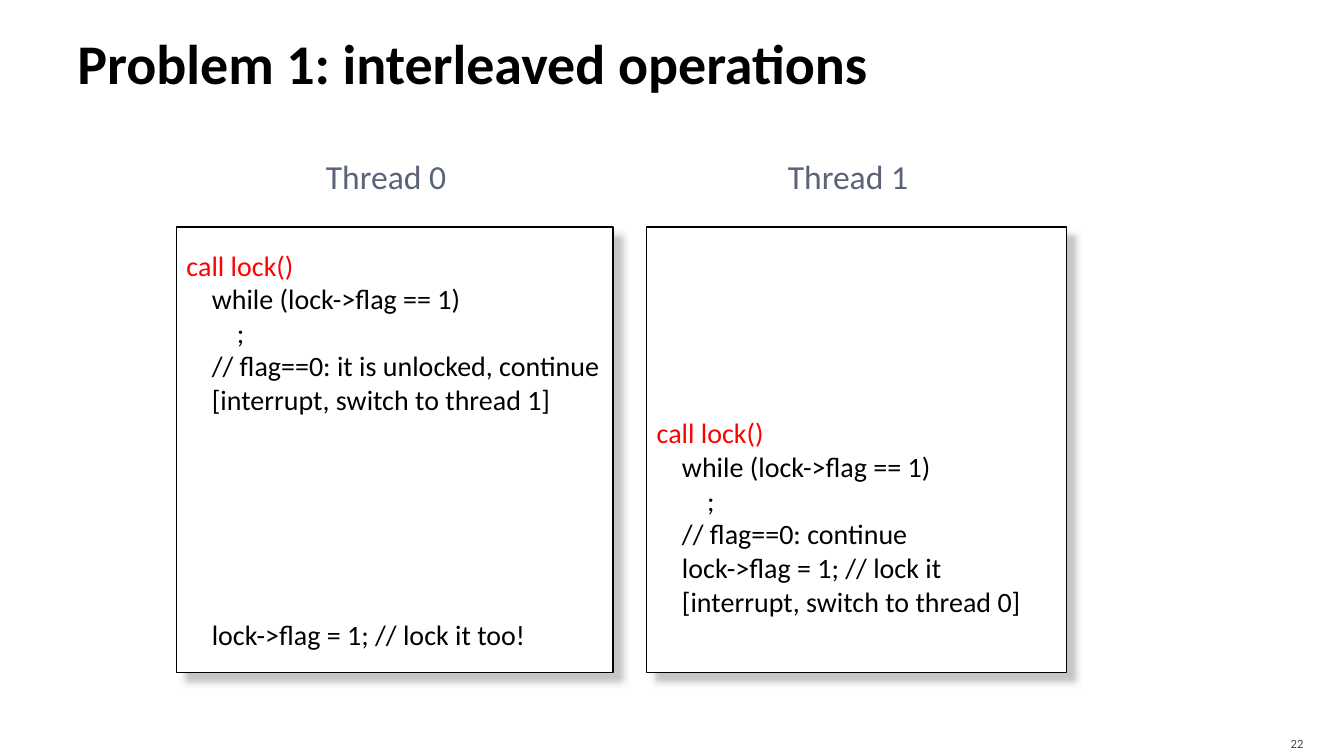
import dataclasses
import typing

import pptx
import pptx.dml.color
import pptx.enum.shapes
import pptx.enum.text
import pptx.oxml
import pptx.oxml.ns
import pptx.util

Cm = pptx.util.Cm
Pt = pptx.util.Pt
Align = pptx.enum.text.PP_ALIGN
Anchor = pptx.enum.text.MSO_ANCHOR


@dataclasses.dataclass(frozen=True)
class Theme:
    font: str = "Calibri"
    black: str = "000000"
    white: str = "FFFFFF"
    call: str = "FF0000"
    label: str = "5A6378"
    number: str = "454545"
    shade: str = "B2B2B2"
    title_size: float = 40
    label_size: float = 24
    code_size: float = 20
    number_size: float = 9
    row: float = 24


@dataclasses.dataclass(frozen=True)
class Line:
    row: int
    text: str
    color: str


@dataclasses.dataclass(frozen=True)
class Thread:
    name: str
    left: float
    width: float
    lines: tuple[Line, ...]


THEME = Theme()
BOX_TOP, BOX_HEIGHT = 5.72, 11.23
LABEL_TOP, LABEL_WIDTH, LABEL_HEIGHT = 3.81, 4.66, 1.3
LABEL_SHIFT = 0.22
INSET, TOP_INSET = 0.25, 0.53

THREADS = (
    Thread("Thread 0", 4.45, 11.0, (
        Line(0, "call lock()", THEME.call),
        Line(1, "    while (lock->flag == 1)", THEME.black),
        Line(2, "\t;", THEME.black),
        Line(3, "    // flag==0: it is unlocked, continue", THEME.black),
        Line(4, "    [interrupt, switch to thread 1]", THEME.black),
        Line(11, "    lock->flag = 1; // lock it too!", THEME.black),
    )),
    Thread("Thread 1", 16.3, 10.58, (
        Line(5, "call lock()", THEME.call),
        Line(6, "    while (lock->flag == 1)", THEME.black),
        Line(7, "\t;", THEME.black),
        Line(8, "    // flag==0: continue", THEME.black),
        Line(9, "    lock->flag = 1; // lock it", THEME.black),
        Line(10, "    [interrupt, switch to thread 0]", THEME.black),
    )),
)


def paint(color: str) -> pptx.dml.color.RGBColor:
    return pptx.dml.color.RGBColor.from_string(color)


def style(para: typing.Any, size: float, color: str, align: Align, bold: bool = False) -> None:
    para.alignment = align
    for run in para.runs:
        run.font.name = THEME.font
        run.font.size = Pt(size)
        run.font.bold = bold
        run.font.color.rgb = paint(color)


def add_text(slide: typing.Any, text: str, place: tuple[float, ...], size: float,
             color: str, align: Align) -> typing.Any:
    frame = slide.shapes.add_textbox(*map(Cm, place)).text_frame
    frame.word_wrap = True
    frame.text = text
    style(frame.paragraphs[0], size, color, align)
    return frame


def add_shade(shape: typing.Any) -> None:
    shape.shadow.inherit = False
    effects = shape._element.spPr.find(pptx.oxml.ns.qn("a:effectLst"))
    effects.append(pptx.oxml.parse_xml(
        f'<a:outerShdw {pptx.oxml.ns.nsdecls("a")} blurRad="{Pt(5)}" dist="{Pt(8.5)}" '
        f'dir="2700000" algn="tl" rotWithShape="0"><a:srgbClr val="{THEME.shade}">'
        '<a:alpha val="75000"/></a:srgbClr></a:outerShdw>'))


def add_thread(slide: typing.Any, thread: Thread) -> None:
    box = slide.shapes.add_shape(
        pptx.enum.shapes.MSO_SHAPE.RECTANGLE,
        Cm(thread.left), Cm(BOX_TOP), Cm(thread.width), Cm(BOX_HEIGHT))
    box.fill.solid()
    box.fill.fore_color.rgb = paint(THEME.white)
    box.line.color.rgb = paint(THEME.black)
    box.line.width = Pt(1)
    add_shade(box)

    frame = box.text_frame
    frame.word_wrap = False
    frame.vertical_anchor = Anchor.TOP
    frame.margin_left = frame.margin_right = frame.margin_bottom = Cm(INSET)
    frame.margin_top = Cm(TOP_INSET) + Pt(THEME.row * thread.lines[0].row)
    frame.text = "\n".join(line.text for line in thread.lines)
    last = thread.lines[0].row - 1
    for para, line in zip(frame.paragraphs, thread.lines):
        style(para, THEME.code_size, line.color, Align.LEFT)
        para.line_spacing = Pt(THEME.row)
        para.space_before = Pt(THEME.row * (line.row - last - 1))
        last = line.row

    label_left = thread.left + (thread.width - LABEL_WIDTH) / 2 - LABEL_SHIFT
    add_text(slide, thread.name, (label_left, LABEL_TOP, LABEL_WIDTH, LABEL_HEIGHT),
             THEME.label_size, THEME.label, Align.CENTER)


def add_title(slide: typing.Any, text: str) -> None:
    title = slide.shapes.title
    title.left, title.top, title.width, title.height = map(Cm, (1.7, 0.2, 30.48, 2.74))
    frame = title.text_frame
    frame.text = text
    frame.auto_size = pptx.enum.text.MSO_AUTO_SIZE.NONE
    frame.vertical_anchor = Anchor.MIDDLE
    frame.margin_left = Cm(INSET)
    style(frame.paragraphs[0], THEME.title_size, THEME.black, Align.LEFT, True)


def main() -> None:
    deck = pptx.Presentation()
    deck.slide_width, deck.slide_height = Cm(33.87), Cm(19.05)
    slide = deck.slides.add_slide(deck.slide_layouts[5])
    add_title(slide, "Problem 1: interleaved operations")
    for thread in THREADS:
        add_thread(slide, thread)
    number = add_text(slide, "22", (30.38, 18.29, 2.72, 0.76),
                      THEME.number_size, THEME.number, Align.RIGHT)
    number.vertical_anchor = Anchor.MIDDLE
    number.margin_bottom = 0
    deck.save("out.pptx")


if __name__ == "__main__":
    main()
